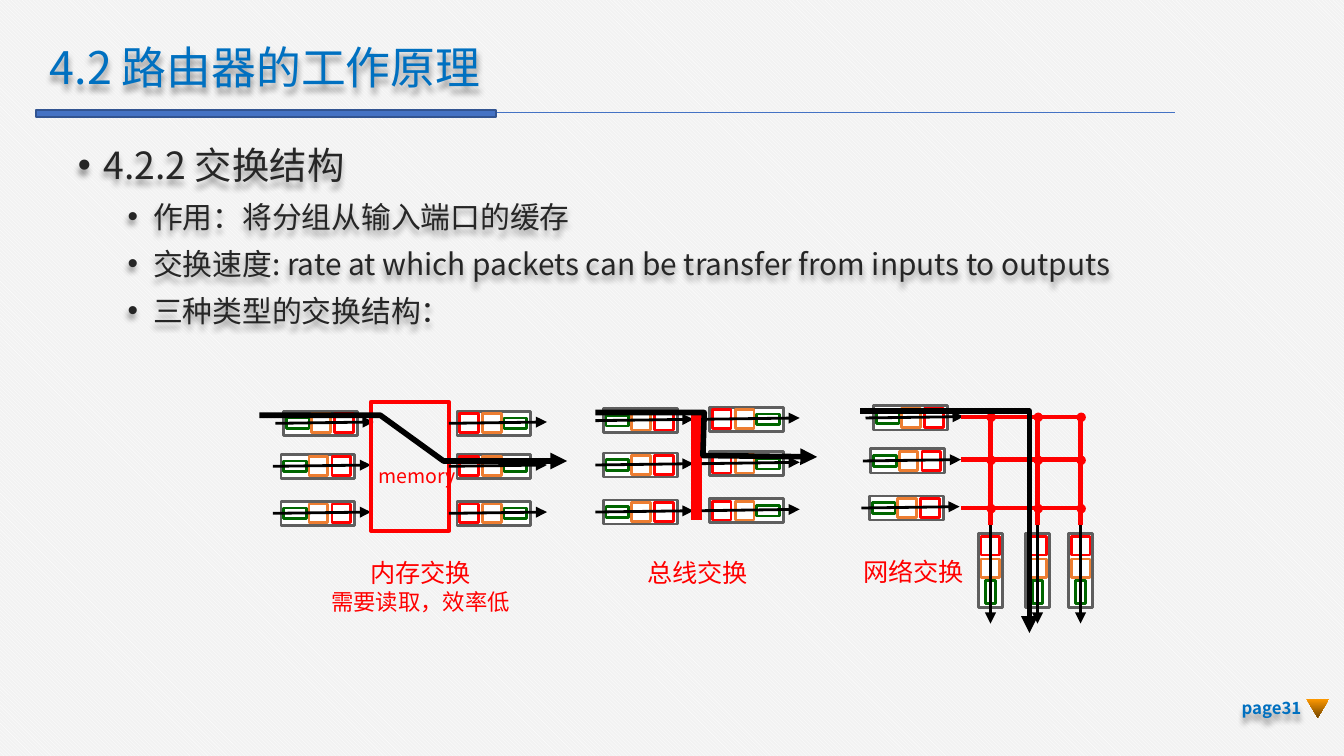
from lxml import etree
from pptx import Presentation
from pptx.dml.color import RGBColor
from pptx.enum.dml import MSO_PATTERN
from pptx.enum.shapes import MSO_CONNECTOR, MSO_SHAPE
from pptx.enum.text import MSO_ANCHOR, MSO_AUTO_SIZE, PP_ALIGN
from pptx.oxml.ns import qn
from pptx.util import Inches, Pt

FONT = "Noto Sans CJK SC"
BLUE, TITLE_BLUE, DARK = "4472C4", "0070C0", "262626"
BLACK, WHITE, GRAY = "000000", "FFFFFF", "5F5F5F"
GREEN, ORANGE, RED = "006600", "ED7D31", "FF0000"

INPUT_CELLS = [(0.02, 0.05, 0.17, 0.08, GREEN), (0.21, 0.02, 0.14, 0.14, ORANGE),
               (0.38, 0.02, 0.14, 0.14, RED)]
OUTPUT_CELLS = [(0.35, 0.05, 0.17, 0.08, GREEN), (0.19, 0.02, 0.14, 0.14, ORANGE),
                (0.02, 0.02, 0.14, 0.14, RED)]


def color(value):
    return RGBColor.from_string(value)


class SlideBuilder:
    def __init__(self, slide):
        self.slide = slide
        self.shapes = slide.shapes

    def background(self, foreground, back):
        fill = self.slide.background.fill
        fill.patterned()
        fill.pattern = MSO_PATTERN.DARK_DOWNWARD_DIAGONAL
        fill.fore_color.rgb = color(foreground)
        fill.back_color.rgb = color(back)

    def shape(self, kind, left, top, width, height, fill=None, line=None, weight=1.5):
        shape = self.shapes.add_shape(kind, Inches(left), Inches(top), Inches(width), Inches(height))
        shape.shadow.inherit = False
        if fill:
            shape.fill.solid()
            shape.fill.fore_color.rgb = color(fill)
        else:
            shape.fill.background()
        self.outline(shape, line, weight)
        return shape

    def outline(self, shape, line, weight):
        if line:
            shape.line.color.rgb = color(line)
            shape.line.width = Pt(weight)
        else:
            shape.line.fill.background()

    def arrowhead(self, shape):
        line = shape.line._get_or_add_ln()
        etree.SubElement(line, qn("a:tailEnd"), type="triangle")

    def line(self, start, end, line, weight, arrow=False):
        connector = self.shapes.add_connector(
            MSO_CONNECTOR.STRAIGHT, *(Inches(value) for value in (*start, *end)))
        self.outline(connector, line, weight)
        if arrow:
            self.arrowhead(connector)
        etree.SubElement(connector._element.spPr, qn("a:effectLst"))

    def route(self, *points):
        start, *rest = [(Inches(x), Inches(y)) for x, y in points]
        builder = self.shapes.build_freeform(*start)
        builder.add_line_segments(rest, close=False)
        shape = builder.convert_to_shape()
        shape.shadow.inherit = False
        shape.fill.background()
        self.outline(shape, BLACK, 3)
        self.arrowhead(shape)

    def queue(self, left, top, cells, vertical=False):
        for x, y, width, height, line in [(0, 0, 0.55, 0.18, GRAY), *cells]:
            if vertical:
                x, y, width, height = y, x, height, width
            self.shape(MSO_SHAPE.RECTANGLE, left + x, top + y, width, height, WHITE, line)
        ends = [(-0.06, 0.09), (0.67, 0.08)]
        if vertical:
            ends = [(0.09, -0.06), (0.09, 0.67)]
        self.line(*[(left + x, top + y) for x, y in ends], BLACK, 1.5, arrow=True)

    def format(self, paragraph, text, size, font_color, align=PP_ALIGN.LEFT, bold=False):
        paragraph.text = text
        paragraph.alignment = align
        font = paragraph.font
        font.size, font.name, font.bold = Pt(size), FONT, bold
        font.color.rgb = color(font_color)
        properties = paragraph._p.pPr.find(qn("a:defRPr"))
        latin = properties.find(qn("a:latin"))
        latin.addnext(etree.Element(qn("a:ea"), typeface=FONT))

    def text_shadow(self, shape):
        effects = etree.SubElement(shape._element.spPr, qn("a:effectLst"))
        shadow = etree.SubElement(effects, qn("a:outerShdw"), blurRad="38100",
                                  dist="38100", dir="5400000", algn="t", rotWithShape="0")
        black = etree.SubElement(shadow, qn("a:prstClr"), val="black")
        etree.SubElement(black, qn("a:alpha"), val="40000")

    def title(self, text):
        shape = self.shapes.title
        shape.left, shape.top = Inches(0.27), Inches(0.3)
        shape.width, shape.height = Inches(4.34), Inches(0.44)
        frame = shape.text_frame
        frame.auto_size = MSO_AUTO_SIZE.NONE
        frame.vertical_anchor = MSO_ANCHOR.MIDDLE
        self.format(frame.paragraphs[0], text, 24, TITLE_BLUE)
        frame.paragraphs[0].line_spacing = 0.9
        self.text_shadow(shape)

    def text(self, left, top, width, height, lines, font_color=RED,
             align=PP_ALIGN.LEFT, bold=False, wrap=True):
        shape = self.shapes.add_textbox(Inches(left), Inches(top), Inches(width), Inches(height))
        frame = shape.text_frame
        frame.word_wrap = wrap
        for index, (text, size) in enumerate(lines):
            paragraph = frame.add_paragraph() if index else frame.paragraphs[0]
            self.format(paragraph, text, size, font_color, align, bold)
        return shape

    def bullets(self, left, top, width, height, lines):
        shape = self.shapes.add_textbox(Inches(left), Inches(top), Inches(width), Inches(height))
        frame = shape.text_frame
        frame.word_wrap = True
        frame.margin_left = frame.margin_right = Inches(0.07)
        frame.margin_top = frame.margin_bottom = Inches(0.04)
        for index, (text, size, level, indent) in enumerate(lines):
            paragraph = frame.add_paragraph() if index else frame.paragraphs[0]
            paragraph.level = level
            if index:
                paragraph.space_before = Pt(6)
            properties = paragraph._p.get_or_add_pPr()
            properties.set("marL", str(Inches(indent)))
            properties.set("indent", str(Inches(-0.19)))
            etree.SubElement(properties, qn("a:buFont"), typeface="Arial")
            etree.SubElement(properties, qn("a:buChar"), char="•")
            self.format(paragraph, text, size, DARK)
        self.text_shadow(shape)


def draw_header(builder):
    builder.background("FFFFFF", "F2F2F2")
    builder.line((8.74, 0.84), (0.27, 0.84), BLUE, 0.5)
    builder.shape(MSO_SHAPE.RECTANGLE, 0.27, 0.82, 3.42, 0.05, BLUE, "325491", 1)
    builder.title("4.2 路由器的工作原理")
    builder.bullets(0.51, 1.02, 8.19, 4.39, [
        ("4.2.2 交换结构", 20, 0, 0.19),
        ("作用：将分组从输入端口的缓存", 16, 1, 0.56),
        ("交换速度: rate at which packets can be transfer from inputs to outputs", 16, 1, 0.56),
        ("三种类型的交换结构：", 16, 1, 0.56),
    ])


def draw_memory_switch(builder):
    for left, top in [(2.11, 3.06), (2.09, 3.38), (2.09, 3.73)]:
        builder.queue(left, top, INPUT_CELLS)
    builder.shape(MSO_SHAPE.RECTANGLE, 2.76, 2.99, 0.58, 0.96, line=RED, weight=2.25)
    for top in (3.06, 3.38, 3.73):
        builder.queue(3.4, top, OUTPUT_CELLS)
    builder.text(1.98, 4.1, 2.3, 0.53, [("内存交换", 13.5), ("需要读取，效率低", 12)],
                 align=PP_ALIGN.CENTER)
    builder.text(2.72, 3.4, 0.79, 0.28, [("memory", 10.5)], wrap=False)
    builder.route((1.93, 3.09), (2.83, 3.09), (3.3, 3.43), (4.22, 3.43))


def draw_bus_switch(builder):
    tops = (3.04, 3.37, 3.72)
    for top in tops:
        builder.queue(4.49, top, INPUT_CELLS)
    builder.line((5.18, 3.05), (5.18, 3.87), RED, 6)
    for top in tops:
        builder.queue(5.28, top - 0.01, OUTPUT_CELLS)
    builder.text(4.72, 4.1, 0.96, 0.33, [("总线交换", 13.5)], wrap=False)
    builder.route((4.43, 3.07), (5.24, 3.07), (5.23, 3.39), (6.08, 3.4))


def draw_network_switch(builder):
    rows, columns = (3.1, 3.42, 3.78), (7.37, 7.72, 8.04)
    for left, top in [(6.5, 3.02), (6.48, 3.34), (6.47, 3.69)]:
        builder.queue(left, top, INPUT_CELLS)
    for column in reversed(columns):
        builder.queue(column - 0.09, 3.97, OUTPUT_CELLS, vertical=True)
    for row in rows:
        builder.line((7.15, row), (8.04, row), RED, 2.25)
    for column in columns:
        builder.line((column, 3.91), (column, 3.1), RED, 2.25)
    for column in columns:
        for row in rows:
            builder.shape(MSO_SHAPE.OVAL, column - 0.03, row - 0.03, 0.07, 0.07, RED)
    builder.text(6.32, 4.09, 0.96, 0.33, [("网络交换", 13.5)], align=PP_ALIGN.CENTER, wrap=False)
    builder.route((6.4, 3.06), (7.66, 3.06), (7.66, 4.71))


def draw_page_mark(builder):
    page = builder.text(9.09, 5.12, 0.69, 0.3, [("page31", 9)], TITLE_BLUE, PP_ALIGN.RIGHT, bold=True)
    page.text_frame.vertical_anchor = MSO_ANCHOR.MIDDLE
    builder.text_shadow(page)
    marker = builder.shape(MSO_SHAPE.FLOWCHART_MERGE, 9.72, 5.2, 0.17, 0.14)
    marker.fill.gradient()
    marker.fill.gradient_angle = 270
    for stop, value in zip(marker.fill.gradient_stops, ("FF9900", "764700")):
        stop.color.rgb = color(value)


presentation = Presentation()
presentation.slide_width = Inches(10)
presentation.slide_height = presentation.slide_width * 9 // 16
builder = SlideBuilder(presentation.slides.add_slide(presentation.slide_layouts[5]))
for draw in (draw_header, draw_memory_switch, draw_bus_switch, draw_network_switch, draw_page_mark):
    draw(builder)
presentation.save("out.pptx")
